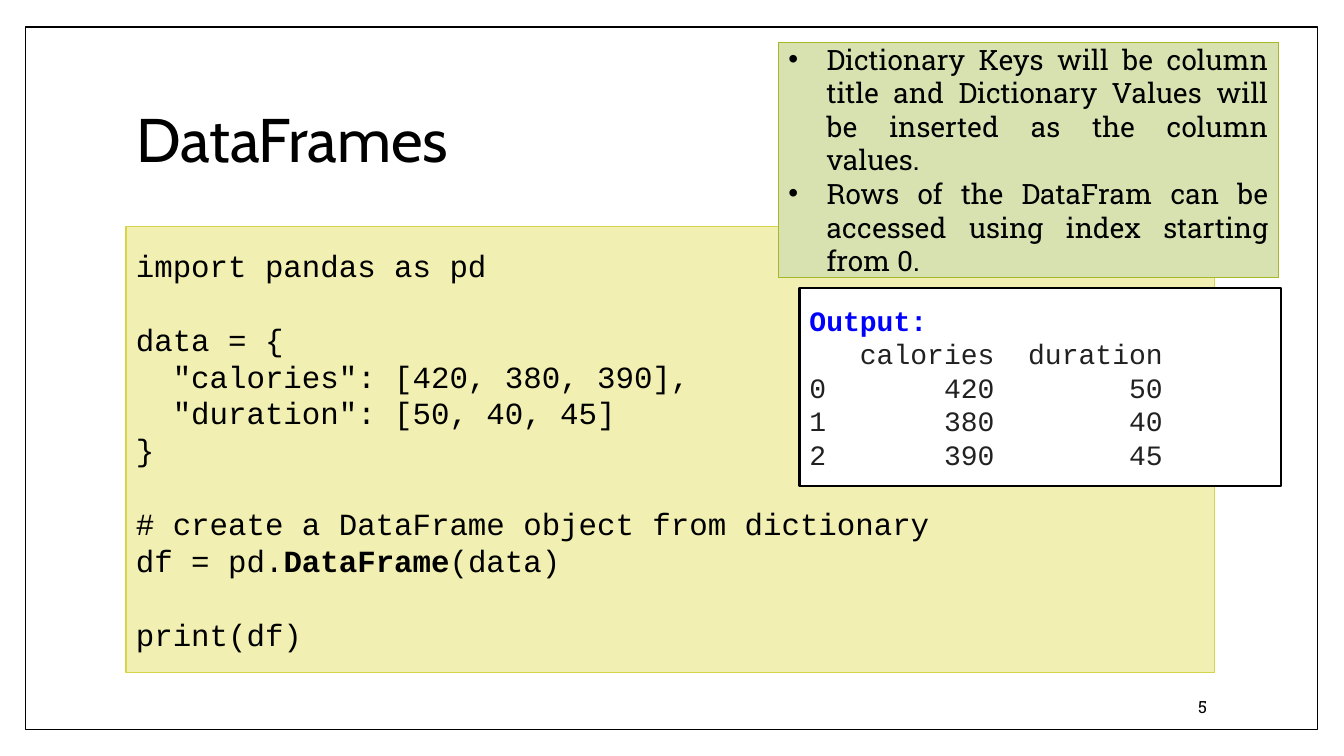
import pptx
import pptx.util
import pptx.dml.color
import pptx.enum.shapes
import pptx.enum.text
import pptx.oxml
import pptx.oxml.ns

Inches = pptx.util.Inches
Pt = pptx.util.Pt
RGB = pptx.dml.color.RGBColor
ALIGN = pptx.enum.text.PP_ALIGN

BLACK = RGB(0, 0, 0)
WHITE = RGB(255, 255, 255)
BLUE = RGB(0, 0, 255)
GREY = RGB(0x21, 0x21, 0x21)
CREAM = RGB(0xF1, 0xF0, 0xB2)
GOLD = RGB(0xD7, 0xD4, 0x47)
SAGE = RGB(0xD8, 0xE1, 0xB0)
OLIVE = RGB(0xA6, 0xB7, 0x27)

MONO = "Courier New"
SLAB = "Roboto Slab"

TITLE = "DataFrames"
PAGE = "5"
CODE = [
    ["import pandas as pd"],
    [],
    ["data = {"],
    ["  \"calories\": [420, 380, 390],"],
    ["  \"duration\": [50, 40, 45]"],
    ["}"],
    [],
    ["# create a DataFrame object from dictionary"],
    ["df = pd.", "DataFrame", "(data)"],
    [],
    ["print(df)"],
]
NOTES = [
    "Dictionary Keys will be column title and Dictionary Values will be inserted as the column values.",
    "Rows of the DataFram can be accessed using index starting from 0.",
]
HEAD = "Output:"
COLS = ("calories", "duration")
ROWS = [(420, 50), (380, 40), (390, 45)]

WIDE, HIGH = 13.33, 7.5
LEFT, SPAN = 1.25, 10.8
CODE_PT, NOTE_PT = 22, 20
LEAD = 1.2

deck = pptx.Presentation()
deck.slide_width, deck.slide_height = Inches(WIDE), Inches(HIGH)
slide = deck.slides.add_slide(deck.slide_layouts[5])
shapes = slide.shapes


def place(left, top, width, height):
    return [Inches(n) for n in (left, top, width, height)]


def panel(spot, fill, edge, weight):
    box = shapes.add_shape(pptx.enum.shapes.MSO_SHAPE.RECTANGLE, *place(*spot))
    box.shadow.inherit = False
    box.fill.solid()
    box.fill.fore_color.rgb = fill
    box.line.color.rgb = edge
    box.line.width = Pt(weight)
    return box


def setup(box):
    frame = box.text_frame
    frame.word_wrap = True
    frame.auto_size = pptx.enum.text.MSO_AUTO_SIZE.NONE
    frame.vertical_anchor = pptx.enum.text.MSO_ANCHOR.MIDDLE
    return frame


def line(frame, align=ALIGN.LEFT):
    first = frame.paragraphs[0]
    para = frame.add_paragraph() if first.runs else first
    para.alignment = align
    return para


def write(para, text, size, face, color=BLACK, bold=False):
    run = para.add_run()
    run.text = text
    font = run.font
    font.size, font.name, font.bold = Pt(size), face, bold
    font.color.rgb = color


def bullet(para):
    props = para._p.get_or_add_pPr()
    props.set("marL", str(Inches(0.38)))
    props.set("indent", str(-Inches(0.38)))
    for tag, key, value in (("a:buFont", "typeface", "Arial"), ("a:buChar", "char", "•")):
        mark = pptx.oxml.parse_xml(f"<{tag} {pptx.oxml.ns.nsdecls('a')}/>")
        mark.set(key, value)
        props.append(mark)


border = panel((0.25, 0.27, 12.82, 6.97), WHITE, BLACK, 1)
title = shapes.title
title._element.addprevious(border._element)
title.left, title.top, title.width, title.height = place(LEFT, 0.67, SPAN, 1.48)
para = line(setup(title))
para.line_spacing = 0.9
write(para, TITLE, 44, "Cabin")

number = shapes.add_textbox(*place(10.2, 6.81, 1.87, 0.4))
write(line(setup(number), ALIGN.RIGHT), PAGE, 12, SLAB)

frame = setup(panel((LEFT, 2.25, SPAN, 4.42), CREAM, GOLD, 0.79))
gap = 0
for parts in CODE:
    if not parts:
        gap += CODE_PT * LEAD
        continue
    para = line(frame)
    if gap:
        para.space_before = Pt(gap)
    gap = 0
    for spot, text in enumerate(parts):
        write(para, text, CODE_PT, MONO, bold=spot == 1)

frame = setup(panel((7.72, 0.42, 4.96, 2.33), SAGE, OLIVE, 0.79))
for note in NOTES:
    para = line(frame, ALIGN.JUSTIFY)
    bullet(para)
    write(para, note, NOTE_PT, SLAB)

frame = setup(panel((7.93, 2.86, 4.78, 1.96), WHITE, BLACK, 1.5))
write(line(frame), HEAD, NOTE_PT, MONO, BLUE, True)
for mark, cells in [("", COLS), *enumerate(ROWS)]:
    text = f"{mark:<1}" + "".join(f"{cell:>10}" for cell in cells)
    write(line(frame), text, NOTE_PT, MONO, GREY)

deck.save("out.pptx")
